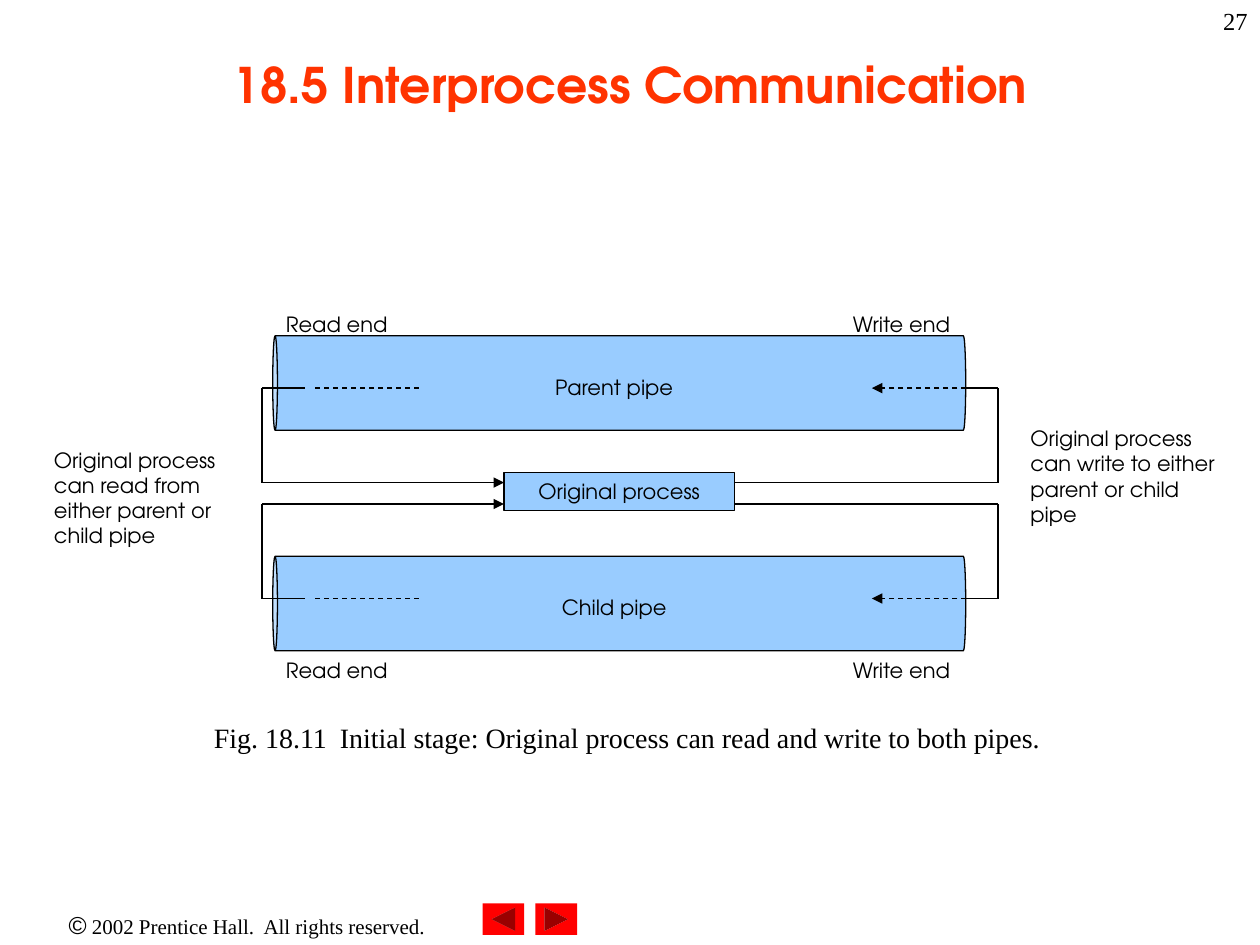
from dataclasses import dataclass

from lxml import etree
from pptx import Presentation
from pptx.dml.color import RGBColor
from pptx.enum.dml import MSO_LINE
from pptx.enum.shapes import MSO_CONNECTOR, MSO_SHAPE
from pptx.enum.text import MSO_ANCHOR, PP_ALIGN
from pptx.oxml.ns import qn
from pptx.util import Inches, Pt

LEFT, CENTER, RIGHT = PP_ALIGN.LEFT, PP_ALIGN.CENTER, PP_ALIGN.RIGHT
TOP, MIDDLE = MSO_ANCHOR.TOP, MSO_ANCHOR.MIDDLE
CAN, RECTANGLE = MSO_SHAPE.CAN, MSO_SHAPE.RECTANGLE
NEXT_BUTTON = MSO_SHAPE.ACTION_BUTTON_FORWARD_OR_NEXT
STRAIGHT, DASH = MSO_CONNECTOR.STRAIGHT, MSO_LINE.DASH
TITLE_ONLY = 5


@dataclass(frozen=True)
class Theme:
    ink: RGBColor = RGBColor(0, 0, 0)
    heading: RGBColor = RGBColor(0xFF, 0x33, 0x00)
    pipe: RGBColor = RGBColor(0x99, 0xCC, 0xFF)
    button: RGBColor = RGBColor(0xFF, 0x00, 0x00)
    sans: str = "TeX Gyre Adventor"
    serif: str = "Times New Roman"
    symbol: str = "Arial"
    title_size: int = 28
    caption_size: int = 16
    number_size: int = 14
    label_size: int = 12
    line_width: float = 0.75


@dataclass(frozen=True)
class Pipe:
    name: str
    center_y: float
    name_y: float
    flow_y: float
    process_y: float
    ends_y: float


THEME = Theme()
PIPES = (
    Pipe("Parent pipe", 3.04, 2.92, 3.08, 3.83, 2.42),
    Pipe("Child pipe", 4.79, 4.67, 4.75, 4, 5.17),
)
READ_X, WRITE_X = 2.08, 7.92
PROCESS_LEFT, PROCESS_RIGHT = 4, 5.83
PIPE_LENGTH, PIPE_HEIGHT = 5.5, 0.75


def style_font(font, size, family, color=THEME.ink, bold=False):
    font.size = Pt(size)
    font.name = family
    font.color.rgb = color
    font.bold = bold


def add_label(slide, text, left, top, width, height=0.3, align=LEFT,
              size=THEME.label_size, family=THEME.sans, wrap=True):
    label = slide.shapes.add_textbox(
        Inches(left), Inches(top), Inches(width), Inches(height))
    label.text_frame.word_wrap = wrap
    paragraph = label.text_frame.paragraphs[0]
    paragraph.text = text
    paragraph.alignment = align
    style_font(paragraph.font, size, family)
    return paragraph


def add_block(slide, kind, left, top, width, height, color, outlined=True):
    block = slide.shapes.add_shape(
        kind, Inches(left), Inches(top), Inches(width), Inches(height))
    block.shadow.inherit = False
    block.fill.solid()
    block.fill.fore_color.rgb = color
    if outlined:
        block.line.color.rgb = THEME.ink
        block.line.width = Pt(THEME.line_width)
    else:
        block.line.fill.background()
    return block


def add_line(slide, start, end, dashed=False, arrow=False):
    points = [Inches(value) for value in (*start, *end)]
    connector = slide.shapes.add_connector(STRAIGHT, *points)
    connector.line.color.rgb = THEME.ink
    connector.line.width = Pt(THEME.line_width)
    if dashed:
        connector.line.dash_style = DASH
    properties = connector._element.spPr
    if arrow:
        etree.SubElement(properties.find(qn("a:ln")), qn("a:tailEnd"), type="triangle")
    etree.SubElement(properties, qn("a:effectLst"))


def add_title(slide, text):
    title = slide.shapes.title
    title.left, title.top = Inches(0.75), Inches(0.08)
    title.width, title.height = Inches(8.5), Inches(1.17)
    title.text_frame.vertical_anchor = MIDDLE
    paragraph = title.text_frame.paragraphs[0]
    paragraph.text = text
    paragraph.alignment = CENTER
    style_font(paragraph.font, THEME.title_size, THEME.sans, THEME.heading, True)


def add_footer(slide):
    notice = add_label(slide, "", 0, 7.17, 3.92, 0.34, CENTER)
    for text, size, family in (
        ("©", THEME.number_size, THEME.symbol),
        (" 2002 Prentice Hall.  All rights reserved.", THEME.label_size, THEME.serif),
    ):
        run = notice.add_run()
        run.text = text
        style_font(run.font, size, family)
    for left, rotation in ((4.25, 0), (3.83, 180)):
        button = add_block(slide, NEXT_BUTTON, left, 7.17, 0.33, 0.25,
                           THEME.button, outlined=False)
        button.rotation = rotation


def add_process(slide):
    process = add_block(slide, RECTANGLE, PROCESS_LEFT, 3.75,
                        PROCESS_RIGHT - PROCESS_LEFT, 0.3, THEME.pipe)
    process.text_frame.vertical_anchor = TOP
    paragraph = process.text_frame.paragraphs[0]
    paragraph.text = "Original process"
    paragraph.alignment = CENTER
    style_font(paragraph.font, THEME.label_size, THEME.sans)


def add_pipe(slide, pipe):
    center_x = PIPE_LENGTH / 2 + 2.165
    body = add_block(slide, CAN, center_x - PIPE_HEIGHT / 2,
                     pipe.center_y - PIPE_LENGTH / 2,
                     PIPE_HEIGHT, PIPE_LENGTH, THEME.pipe)
    body.rotation = 270
    body.adjustments[0] = 0.05

    flow, process = pipe.flow_y, pipe.process_y
    add_line(slide, (READ_X, flow), (READ_X, process))
    add_line(slide, (READ_X, flow), (2.42, flow))
    add_line(slide, (2.5, flow), (3.33, flow), dashed=True)
    add_line(slide, (READ_X, process), (PROCESS_LEFT, process), arrow=True)
    add_line(slide, (PROCESS_RIGHT, process), (WRITE_X, process))
    add_line(slide, (WRITE_X, process), (WRITE_X, flow))
    add_line(slide, (WRITE_X, flow), (7.67, flow))
    add_line(slide, (7.67, flow), (6.92, flow), dashed=True, arrow=True)

    add_label(slide, pipe.name, 4, pipe.name_y, 1.75, align=CENTER)
    add_label(slide, "Read end", 2.17, pipe.ends_y, 1.08)
    add_label(slide, "Write end", 6.67, pipe.ends_y, 1.08)


def main():
    presentation = Presentation()
    presentation.slide_width, presentation.slide_height = Inches(10), Inches(7.5)
    slide = presentation.slides.add_slide(presentation.slide_layouts[TITLE_ONLY])
    add_footer(slide)
    add_title(slide, "18.5 Interprocess Communication")
    add_label(slide,
              "Fig. 18.11\tInitial stage: Original process can read and write to both pipes.",
              1.6, 5.67, 6.76, 0.37, size=THEME.caption_size,
              family=THEME.serif, wrap=False)
    add_process(slide)
    for pipe in PIPES:
        add_pipe(slide, pipe)
    add_label(slide, "Original process can read from either parent or child pipe",
              0.33, 3.5, 1.75, 0.9)
    add_label(slide, "Original process can write to either parent or child pipe",
              8.08, 3.33, 1.75, 0.9)
    add_label(slide, "27", 7.92, 0, 2.08, 0.5, RIGHT, THEME.number_size, THEME.serif)
    presentation.save("out.pptx")


if __name__ == "__main__":
    main()
